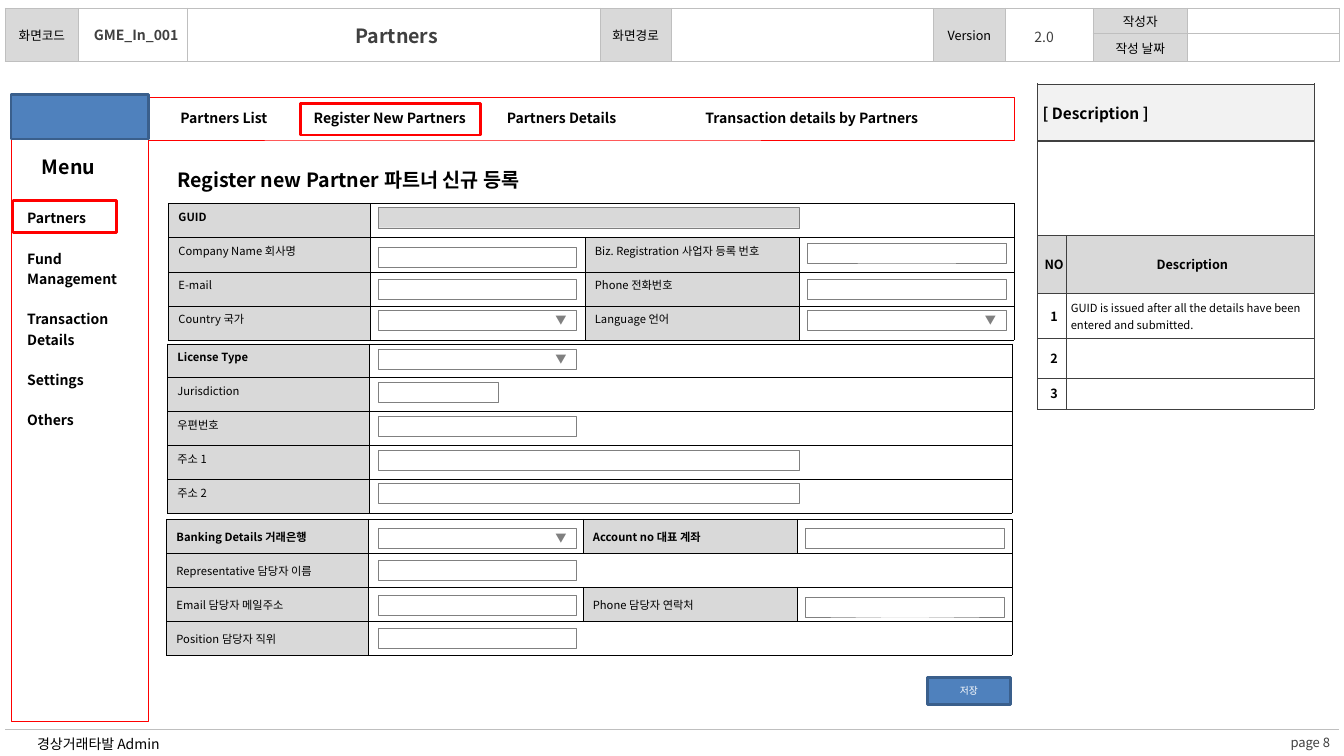
from lxml import etree
from pptx import Presentation
from pptx.dml.color import RGBColor
from pptx.enum.shapes import MSO_SHAPE
from pptx.enum.text import MSO_ANCHOR, MSO_AUTO_SIZE, PP_ALIGN
from pptx.oxml.ns import qn
from pptx.util import Inches, Pt

RECTANGLE = MSO_SHAPE.RECTANGLE
TOP, MIDDLE = MSO_ANCHOR.TOP, MSO_ANCHOR.MIDDLE
LEFT, CENTER, RIGHT = PP_ALIGN.LEFT, PP_ALIGN.CENTER, PP_ALIGN.RIGHT

BLACK = RGBColor(0x00, 0x00, 0x00)
WHITE = RGBColor(0xFF, 0xFF, 0xFF)
CHARCOAL = RGBColor(0x40, 0x40, 0x40)
GREY = RGBColor(0x80, 0x80, 0x80)
RULE_GREY = RGBColor(0xBF, 0xBF, 0xBF)
LABEL_GREY = RGBColor(0xD9, 0xD9, 0xD9)
PALE_GREY = RGBColor(0xF2, 0xF2, 0xF2)
RED = RGBColor(0xFF, 0x00, 0x00)
BLUE = RGBColor(0x4F, 0x81, 0xBD)
NAVY = RGBColor(0x3A, 0x5F, 0x8C)

FONT = "Noto Sans CJK KR"
PLAIN_TABLE = "{2D5ABB26-0587-4C30-8999-92F81FD0307C}"
INSETS = (0.1, 0.05, 0.1, 0.05)
HEADER_INSETS = (0, 0.05, 0.1, 0.05)
THIN, THICK = 0.25, 1

TITLE = ("Partners", (1.94, 0.19, 4.09, 0.34))
HEADER_COLUMNS = (0.73, 1.08, 4.09, 0.71, 2.6, 0.71, 0.87, 0.94, 1.5)
HEADER_ROWS = (0.25, 0.28, 6.62)
HEADER_LABELS = {(0, 0): "화면코드", (0, 3): "화면경로", (0, 5): "Version",
                 (0, 7): "작성자", (1, 7): "작성 날짜"}

CAPTIONS = [
    ("page 8", (12.47, 7.23, 1.05, 0.26), INSETS, CENTER, MIDDLE, True,
     dict(size=9.3, color=CHARCOAL)),
    ("경상거래타발 Admin", (0.27, 7.25, 12.69, 0.25), INSETS, LEFT, MIDDLE, False, dict(size=10)),
    ("Register new Partner 파트너 신규 등록", (1.58, 1.62, 3.75, 0.34), INSETS, CENTER, TOP, False,
     dict(size=14, bold=True)),
    ("GME_In_001", (0.78, 0.21, 1.24, 0.27), HEADER_INSETS, CENTER, TOP, True,
     dict(size=10, bold=True, color=CHARCOAL)),
    ("2.0", (10.05, 0.23, 0.71, 0.27), HEADER_INSETS, CENTER, TOP, True,
     dict(size=10, color=CHARCOAL)),
    ("Menu", (0.31, 1.49, 0.74, 0.34), INSETS, CENTER, TOP, False, dict(size=14, bold=True)),
]

NAV_COLUMNS = (1.38, 1.91, 1.5, 3.46)
NAV = ["Partners List", "Register New Partners", "Partners Details",
       "Transaction details by Partners"]
MENU = ["Partners", "Fund Management", "Transaction Details", "Settings", "Others"]

FOUR_COLUMNS, TWO_COLUMNS = (2, 2.13, 2.13, 2.13), (2, 6.38)
FORMS = [
    (1.67, 2.02, FOUR_COLUMNS, 1.35, TOP,
     [["GUID"], ["Company Name 회사명", "Biz. Registration 사업자 등록 번호"],
      ["E-mail", "Phone 전화번호"], ["Country 국가", "Language 언어"]]),
    (1.65, 5.15, FOUR_COLUMNS, 1.35, MIDDLE,
     [["Banking Details 거래은행", "Account no 대표 계좌"], ["Representative 담당자 이름"],
      ["Email 담당자 메일주소", "Phone 담당자 연락처"], ["Position 담당자 직위"]]),
    (1.66, 3.41, TWO_COLUMNS, 1.68, TOP,
     [["License Type"], ["Jurisdiction"], ["우편번호"], ["주소 1"], ["주소 2"]]),
]

SHORT, NORMAL, WIDE, FIELD_HEIGHT = 1.19, 1.97, 4.18, 0.2
FIELDS = [
    (3.75, NORMAL, (2.45, 2.77, 4.13, 5.56, 5.9, 6.23), WHITE, ""),
    (3.75, NORMAL, (3.08, 3.46, 5.24), WHITE, "▼"),
    (3.75, SHORT, (3.79,), WHITE, ""),
    (3.75, WIDE, (4.47, 4.79), WHITE, ""),
    (3.75, WIDE, (2.06,), LABEL_GREY, ""),
    (8.01, NORMAL, (2.41, 2.77), WHITE, ""),
    (8.01, NORMAL, (3.08,), WHITE, "▼"),
    (7.99, NORMAL, (5.24, 5.92), WHITE, ""),
]

NOTE_COLUMNS = (0.28, 2.46)
NOTE_ROWS = (0.57, 0.94, 0.57, 0.45, 0.39, 0.31)
NOTES = [
    ("[ Description ]", ""), ("", ""), ("NO", "Description"),
    ("1", "GUID is issued after all the details have been entered and submitted."),
    ("2", ""), ("3", ""),
]
NOTE_FILLS = (PALE_GREY, WHITE, LABEL_GREY, None, None, None)

deck = Presentation()
deck.slide_width, deck.slide_height = Inches(13.33), Inches(7.5)
slide = deck.slides.add_slide(deck.slide_layouts[5])
shapes = slide.shapes


def write(frame, paragraphs, align=LEFT, gap=0, size=8, bold=False, color=BLACK):
    for index, words in enumerate(paragraphs):
        paragraph = frame.paragraphs[0] if index == 0 else frame.add_paragraph()
        paragraph.alignment = align
        if index and gap:
            paragraph.space_before = Pt(gap)
        if not words:
            etree.SubElement(paragraph._p, qn("a:endParaRPr"), sz=str(int(size * 100)))
            continue
        run = paragraph.add_run()
        run.text = words
        for key, value in dict(name=FONT, size=Pt(size), bold=bold).items():
            setattr(run.font, key, value)
        run.font.color.rgb = color
        etree.SubElement(run._r.get_or_add_rPr(), qn("a:ea"), typeface=FONT)


def set_insets(holder, insets):
    for side, inset in zip(("left", "top", "right", "bottom"), insets):
        setattr(holder, "margin_" + side, Inches(inset))


def set_frame(frame, insets, anchor, wrap):
    set_insets(frame, insets)
    for key, value in dict(auto_size=MSO_AUTO_SIZE.NONE, word_wrap=wrap,
                           vertical_anchor=anchor).items():
        setattr(frame, key, value)


def add_box(place, fill, line, weight, words="", align=CENTER, **font):
    box = shapes.add_shape(RECTANGLE, *map(Inches, place))
    box.shadow.inherit = False
    if fill is None:
        box.fill.background()
    else:
        box.fill.solid()
        box.fill.fore_color.rgb = fill
    box.line.color.rgb = line
    box.line.width = Pt(weight)
    if words:
        set_frame(box.text_frame, INSETS, MIDDLE, True)
        write(box.text_frame, [words], align, **font)


def add_grid(left, top, columns, rows):
    place = map(Inches, (left, top, sum(columns), sum(rows)))
    table = shapes.add_table(len(rows), len(columns), *place).table
    table.first_row = table.horz_banding = False
    table._tbl.tblPr.find(qn("a:tableStyleId")).text = PLAIN_TABLE
    for column, width in zip(table.columns, columns):
        column.width = Inches(width)
    for row, height in zip(table.rows, rows):
        row.height = Inches(height)
    return table


def fill_cell(cell, paragraphs, fill=None, edge=None, weights=(THIN,) * 4,
              insets=INSETS, anchor=MIDDLE, **style):
    properties = cell._tc.get_or_add_tcPr()
    for side, weight in zip("LRTB", weights):
        if edge is not None and weight:
            line = etree.SubElement(properties, qn("a:ln" + side), w=str(int(Pt(weight))))
            solid = etree.SubElement(line, qn("a:solidFill"))
            etree.SubElement(solid, qn("a:srgbClr"), val=str(edge))
    if fill is not None:
        cell.fill.solid()
        cell.fill.fore_color.rgb = fill
    set_insets(cell, insets)
    cell.vertical_anchor = anchor
    write(cell.text_frame, paragraphs, **style)


title = shapes.title
title_words, title_place = TITLE
for key, length in zip(("left", "top", "width", "height"), title_place):
    setattr(title, key, Inches(length))
set_frame(title.text_frame, HEADER_INSETS, TOP, True)
write(title.text_frame, [title_words], CENTER, size=14, bold=True, color=CHARCOAL)

header = add_grid(0.05, 0.08, HEADER_COLUMNS, HEADER_ROWS)
for r in range(len(HEADER_ROWS)):
    for c in range(len(HEADER_COLUMNS)):
        fill_cell(header.cell(r, c), [HEADER_LABELS.get((r, c), "")],
                  LABEL_GREY if c in (0, 3, 5, 7) and r < 2 else None, RULE_GREY,
                  (0, 0, THIN, THIN) if r == 2 else (THIN,) * 4,
                  (0.01, 0.01, 0.01, 0), align=CENTER, size=9)
for c in range(7):
    header.cell(0, c).merge(header.cell(1, c))
header.cell(2, 0).merge(header.cell(2, len(HEADER_COLUMNS) - 1))

notes = add_grid(10.29, 0.83, NOTE_COLUMNS, NOTE_ROWS)
for r, row in enumerate(NOTES):
    for c, words in enumerate(row):
        body = r > 2 and c == 1
        fill_cell(notes.cell(r, c), [words], NOTE_FILLS[r], CHARCOAL,
                  (THIN, THIN, THICK if r in (1, 2) else THIN, THICK if r < 2 else THIN),
                  (0.05, 0, 0, 0), align=LEFT if body or r == 0 else CENTER,
                  size=11 if r == 0 else 8 if body else 9, bold=not body)
for r in (0, 1):
    notes.cell(r, 0).merge(notes.cell(r, 1))

add_box((0.11, 0.96, 9.95, 0.43), WHITE, RED, THIN)
add_box((0.11, 0.96, 1.36, 6.2), WHITE, RED, THIN)

for left, top, columns, height, anchor, rows in FORMS:
    form = add_grid(left, top, columns, [height / len(rows)] * len(rows))
    for r, labels in enumerate(rows):
        for c in range(len(columns)):
            labelled = c % 2 == 0 and c // 2 < len(labels)
            fill_cell(form.cell(r, c), [labels[c // 2] if labelled else ""],
                      LABEL_GREY if labelled else WHITE, BLACK, anchor=anchor, bold=r == 0)
        if 2 * len(labels) < len(columns):
            form.cell(r, 1).merge(form.cell(r, len(columns) - 1))

for left, width, tops, fill, mark in FIELDS:
    for top in tops:
        add_box((left, top, width, FIELD_HEIGHT), fill, GREY, THIN, mark, RIGHT, color=GREY)

add_box((9.2, 6.72, 0.82, 0.27), BLUE, NAVY, 2, "저장", size=7, color=WHITE)
add_box((0.11, 0.94, 1.36, 0.44), BLUE, NAVY, 2)

menu = add_grid(0.17, 1.75, (1.22,), (0.26, 2.44))
for r, items in enumerate(([""], MENU)):
    fill_cell(menu.cell(r, 0), items, WHITE, anchor=TOP, gap=14.5, size=10 if r else 7, bold=True)
nav = add_grid(1.53, 0.99, NAV_COLUMNS, (0.36,))
for c, words in enumerate(NAV):
    fill_cell(nav.cell(0, c), [words], WHITE, align=CENTER, size=10, bold=True)
for highlight in ((0.13, 1.99, 1.03, 0.32), (2.98, 1.03, 1.79, 0.31)):
    add_box(highlight, None, RED, 2)

for words, place, insets, align, anchor, wrap, font in CAPTIONS:
    caption = shapes.add_textbox(*map(Inches, place))
    set_frame(caption.text_frame, insets, anchor, wrap)
    write(caption.text_frame, [words], align, **font)

deck.save("out.pptx")
